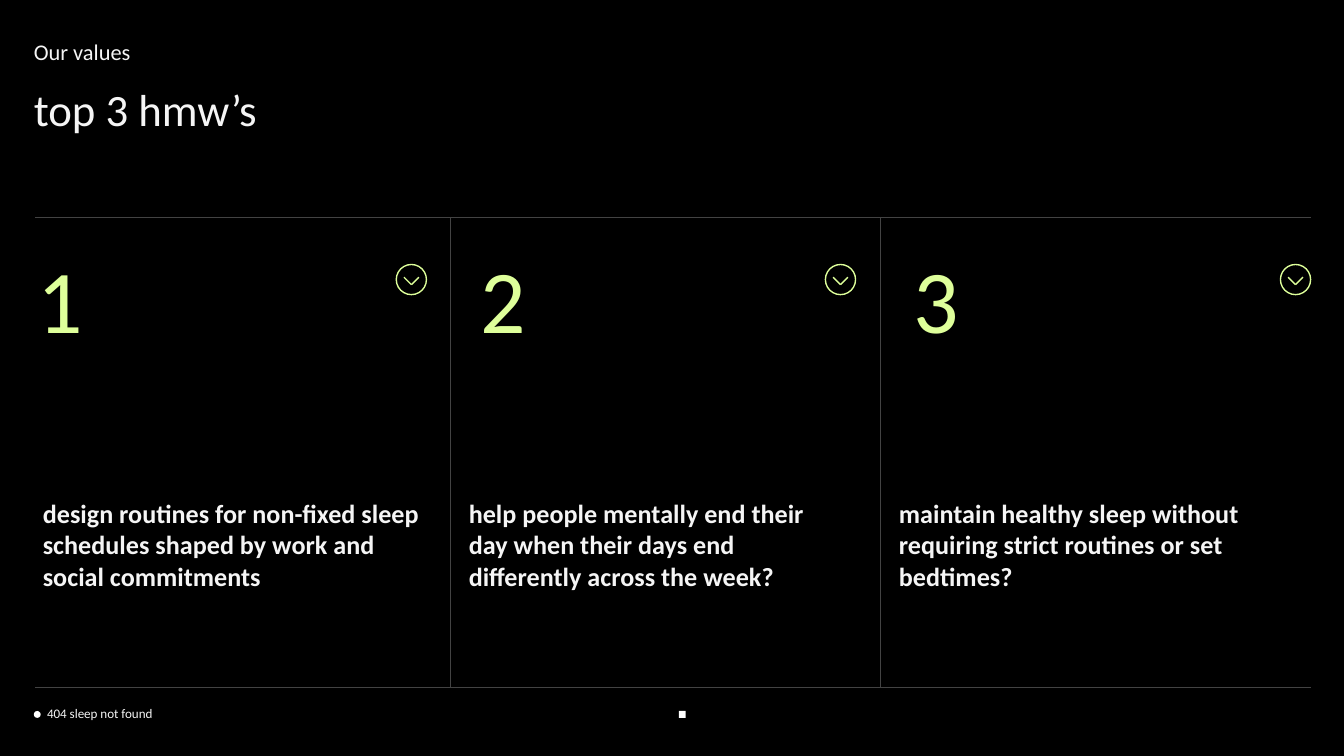
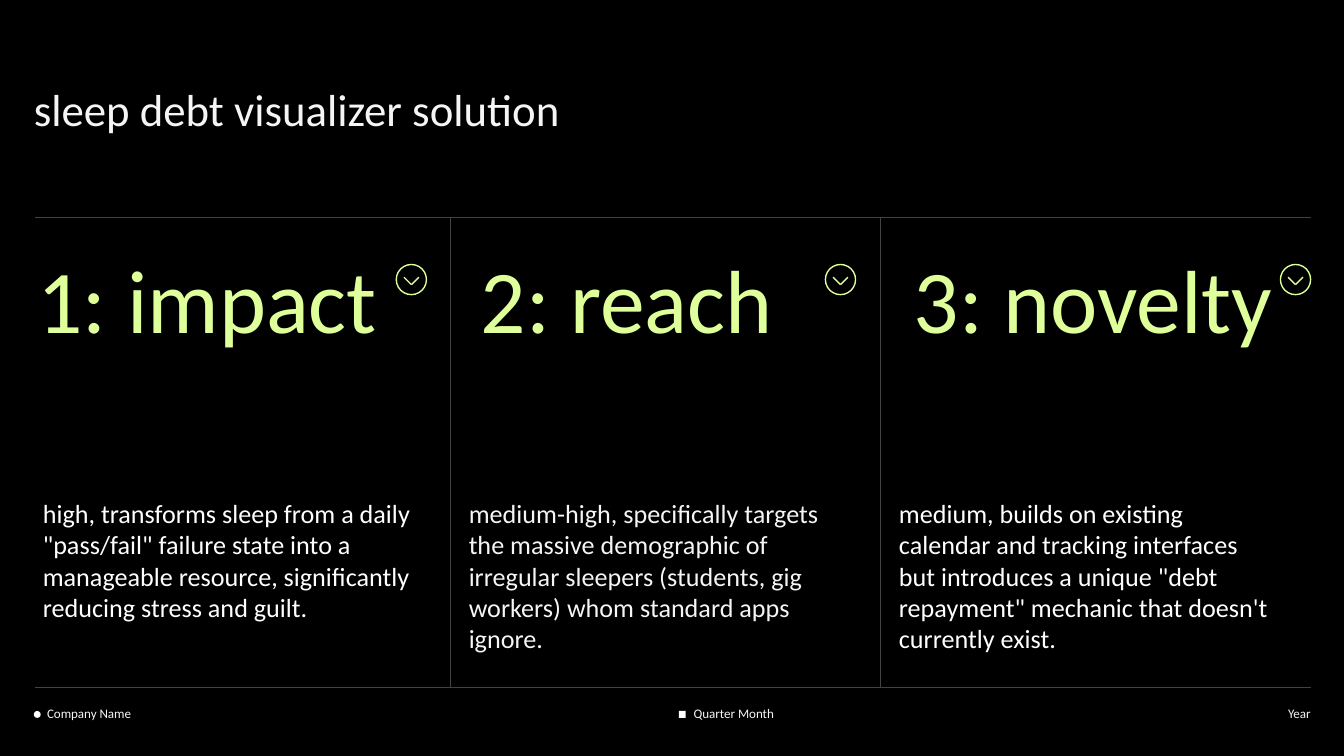
from lxml.etree import SubElement
from pptx import Presentation
from pptx.dml.color import RGBColor
from pptx.enum.shapes import MSO_CONNECTOR as Link, MSO_SHAPE as Preset
from pptx.enum.text import MSO_ANCHOR as Anchor, PP_ALIGN as Align
from pptx.oxml.ns import qn
from pptx.util import Cm, Pt

BLACK = RGBColor(0x00, 0x00, 0x00)
WHITE = RGBColor(0xFF, 0xFF, 0xFF)
OFF_WHITE = RGBColor(0xF5, 0xF5, 0xF5)
GRAY = RGBColor(0x43, 0x43, 0x43)
LIME = RGBColor(0xDE, 0xFF, 0x9A)
FONT = "Calibri"

# Lengths in centimetres
LEFT, RIGHT = 0.66, 24.77
TOP, BOTTOM = 4.11, 13.0
DIVIDERS = (8.51, 16.64)
HEADING_LEFTS = (0.71, 9.09, 17.27)
BODY_LEFTS = (0.81, 8.86, 16.99)
BADGE_LEFTS = (7.49, 15.6, 24.2)
BADGE_TOP, BADGE_SIZE = 5.0, 0.57
MARKERS = ((Preset.OVAL, 0.64), (Preset.RECTANGLE, 12.83))
FOOTERS = ((0.89, 7.49, Align.LEFT), (13.11, 6.38, Align.LEFT), (19.05, 5.72, Align.RIGHT))

SLIDES = [
    {
        "kicker": "Our values",
        "title": "top 3 hmw’s",
        "footer": ["404 sleep not found"],
        "bold": True,
        "columns": [
            ("1", 3.12, "design routines for non-fixed sleep schedules shaped by work "
             "and social commitments", OFF_WHITE),
            ("2", 3.12, "help people mentally end their day when their days end "
             "differently across the week?", OFF_WHITE),
            ("3", 3.12, "maintain healthy sleep without requiring strict routines "
             "or set bedtimes?", OFF_WHITE),
        ],
    },
    {
        "kicker": None,
        "title": "sleep debt visualizer solution",
        "footer": ["Company Name", "Quarter Month", "Year"],
        "bold": False,
        "columns": [
            ("1: impact", 7.39, 'high, transforms sleep from a daily "pass/fail" failure state '
             "into a manageable resource, significantly reducing stress and guilt.", WHITE),
            ("2: reach", 6.38, "medium-high, specifically targets the massive demographic of "
             "irregular sleepers (students, gig workers) whom standard apps ignore.", OFF_WHITE),
            ("3: novelty", 7.39, "medium, builds on existing calendar and tracking interfaces "
             'but introduces a unique "debt repayment" mechanic that doesn\'t currently exist.',
             WHITE),
        ],
    },
]


def add_text(page, text, left, top, width, height, size, color=OFF_WHITE, bold=False,
             spacing=1.15, align=Align.LEFT, anchor=Anchor.TOP, inset=0.0):
    """Add a text box; inset pads its right and bottom sides only."""
    box = page.shapes.add_textbox(Cm(left), Cm(top), Cm(width), Cm(height))
    frame = box.text_frame
    frame.word_wrap = True
    frame.vertical_anchor = anchor
    frame.margin_left = frame.margin_top = 0
    frame.margin_right = frame.margin_bottom = Cm(inset)
    para = frame.paragraphs[0]
    para.alignment = align
    para.line_spacing = spacing
    span = para.add_run()
    span.text = text
    span.font.name = FONT
    span.font.size = Pt(size)
    span.font.bold = bold
    span.font.color.rgb = color


def add_line(shapes, x1, y1, x2, y2, color):
    line = shapes.add_connector(Link.STRAIGHT, Cm(x1), Cm(y1), Cm(x2), Cm(y2))
    line.line.color.rgb = color
    line.line.width = Pt(0.75)
    SubElement(line._element.spPr, qn("a:effectLst"))


deck = Presentation()
deck.slide_width = Cm(25.4)
deck.slide_height = Cm(14.29)

for content in SLIDES:
    page = deck.slides.add_slide(deck.slide_layouts[6])
    page.background.fill.solid()
    page.background.fill.fore_color.rgb = BLACK

    # Footer markers and column frame
    for preset, left in MARKERS:
        marker = page.shapes.add_shape(preset, Cm(left), Cm(13.44), Cm(0.13), Cm(0.13))
        marker.shadow.inherit = False
        marker.fill.solid()
        marker.fill.fore_color.rgb = WHITE
        marker.line.fill.background()
    for y in (BOTTOM, TOP):
        add_line(page.shapes, LEFT, y, RIGHT, y, GRAY)
    for x in DIVIDERS:
        add_line(page.shapes, x, TOP, x, BOTTOM, GRAY)

    # Circled chevrons
    for left in BADGE_LEFTS:
        badge = page.shapes.add_group_shape()
        ring = badge.shapes.add_shape(Preset.OVAL, Cm(left), Cm(BADGE_TOP),
                                      Cm(BADGE_SIZE), Cm(BADGE_SIZE))
        ring.shadow.inherit = False
        ring.fill.background()
        ring.line.color.rgb = LIME
        ring.line.width = Pt(0.75)
        middle = left + BADGE_SIZE / 2
        for side in (-0.14, 0.14):
            add_line(badge.shapes, middle + side, BADGE_TOP + 0.24,
                     middle, BADGE_TOP + 0.38, LIME)

    # Headings, columns and footer
    if content["kicker"]:
        add_text(page, content["kicker"], 0.64, 0.64, 8.1, 0.64, size=12)
    add_text(page, content["title"], 0.64, 1.7, 20.07, 1.12, size=24, spacing=0.85, inset=0.25)
    for (heading, width, body, color), heading_left, body_left in zip(
            content["columns"], HEADING_LEFTS, BODY_LEFTS):
        add_text(page, heading, heading_left, 4.55, width, 3.3, size=48, color=LIME,
                 spacing=1.03, inset=0.25)
        add_text(page, body, body_left, 9.4, 7.39, 3.3, size=14, color=color,
                 bold=content["bold"], spacing=1.0, inset=0.25)
    for label, (left, width, align) in zip(content["footer"], FOOTERS):
        add_text(page, label, left, 12.98, width, 0.66, size=7, align=align,
                 anchor=Anchor.BOTTOM)

deck.save("out.pptx")
